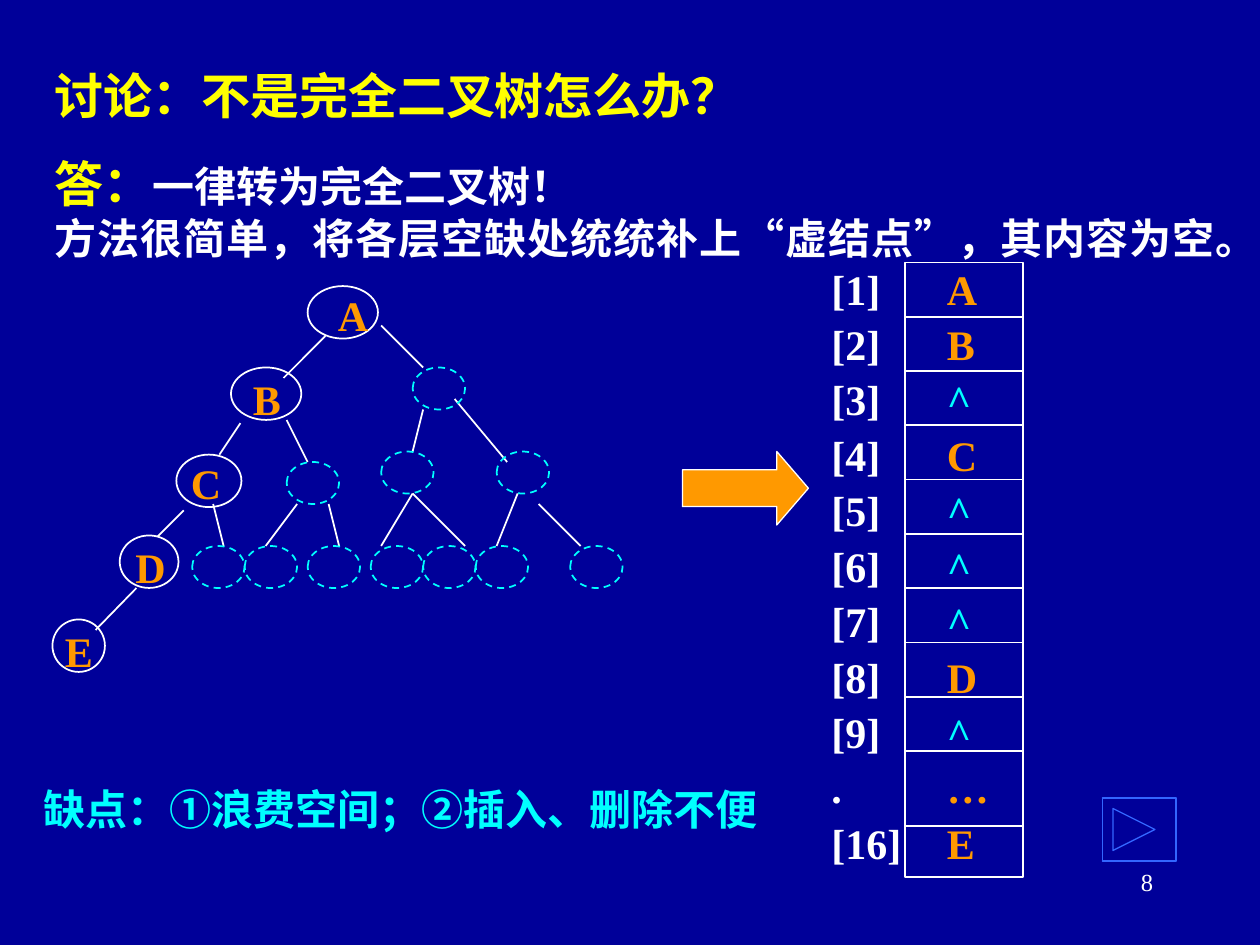
from lxml import etree
from pptx import Presentation
from pptx.dml.color import RGBColor
from pptx.enum.dml import MSO_LINE
from pptx.enum.shapes import MSO_CONNECTOR, MSO_SHAPE
from pptx.enum.text import MSO_ANCHOR, PP_ALIGN
from pptx.oxml.ns import qn
from pptx.util import Inches, Pt

OVAL, RECT, ARROW = MSO_SHAPE.OVAL, MSO_SHAPE.RECTANGLE, MSO_SHAPE.RIGHT_ARROW
STRAIGHT, DASH = MSO_CONNECTOR.STRAIGHT, MSO_LINE.DASH
LEFT, RIGHT, JUSTIFY = PP_ALIGN.LEFT, PP_ALIGN.RIGHT, PP_ALIGN.JUSTIFY
TIMES, NOTO = "Times New Roman", "Noto Sans CJK SC"
WHITE, YELLOW, ORANGE, CYAN, BLUE = "FFFFFF", "FFFF00", "FF9900", "00FFFF", "3366FF"

prs = Presentation()
prs.slide_width, prs.slide_height = Inches(10), Inches(7.5)
U = prs.slide_width // 120  # square grid: 120 columns by 90 rows
slide = prs.slides.add_slide(prs.slide_layouts[5])
slide.background.fill.solid()
slide.background.fill.fore_color.rgb = RGBColor.from_string("000099")
shapes = slide.shapes


def write(sp, box, lines, size=24, bold=True, align=LEFT, spacing=1.0, wrap=True):
    """Place sp on the grid; each line is a list of (text, font, colour[, size])."""
    sp.left, sp.top, sp.width, sp.height = [int(v * U) for v in box]
    tf = sp.text_frame
    tf.word_wrap = wrap
    for i, runs in enumerate(lines):
        p = tf.paragraphs[0] if i == 0 else tf.add_paragraph()
        p.alignment, p.line_spacing = align, spacing
        for text, font, colour, *own_size in runs:
            r = p.add_run()
            r.text = text
            r.font.name, r.font.bold = font, bold
            r.font.size = Pt(own_size[0] if own_size else size)
            r.font.color.rgb = RGBColor.from_string(colour)
            etree.SubElement(r.font._element, qn("a:ea")).set("typeface", NOTO)


def outline(sp, colour=WHITE, width=1, fill=None):
    """Give a shape or connector its line, fill and no shadow."""
    sp.line.color.rgb = RGBColor.from_string(colour)
    sp.line.width = Pt(width)
    if fill:
        sp.fill.solid()
        sp.fill.fore_color.rgb = RGBColor.from_string(fill)
    elif hasattr(sp, "fill"):
        sp.fill.background()
    etree.SubElement(sp._element.spPr, qn("a:effectLst"))


# Title and answer
title = shapes.title
write(title, (4, 5, 87, 8),
      [[("讨论：", TIMES, YELLOW), ("不是完全二叉树怎么办？", NOTO, YELLOW)]], size=28)
title.text_frame.vertical_anchor = MSO_ANCHOR.MIDDLE
write(shapes.add_textbox(0, 0, 0, 0), (4, 14, 113, 11.6),
      [[("答：", NOTO, YELLOW, 28), ("一律转为完全二叉树！", NOTO, WHITE)],
       [("方法很简单，将各层空缺处统统补上“虚结点”，其内容为空。", NOTO, WHITE)]],
      align=JUSTIFY)

# Array: frame, row rules, indices and values
values = "AB^C^^^D^…E"
indices = [f"[{i}]" for i in range(1, 10)] + [".", "[16]"]
frame_x, frame_y, frame_w, row_h = 86.2, 25, 11.2, 5.17
outline(shapes.add_shape(RECT, *[int(v * U) for v in (frame_x, frame_y, frame_w, 58.5)]))
for y in [frame_y + row_h * i for i in range(1, 10)] + [78.7]:
    outline(shapes.add_connector(STRAIGHT, int(frame_x * U), int(y * U),
                                 int((frame_x + frame_w) * U), int(y * U)))
write(shapes.add_textbox(0, 0, 0, 0), (78, 24, 9.1, 59.3),
      [[(t, TIMES, WHITE)] for t in indices], spacing=1.1, wrap=False)
write(shapes.add_textbox(0, 0, 0, 0), (89, 24, 6.5, 59.3),
      [[(t, TIMES, CYAN if t == "^" else ORANGE)] for t in values],
      spacing=1.1, wrap=False)

# Tree edges
edges = [
    (31, 32, 27, 36), (22.9, 40.3, 20.9, 43.3), (17.5, 48.6, 15, 51.1), (13, 56, 9.1, 60),
    (36.3, 31, 40.3, 35), (43.3, 38, 48.3, 44), (40.3, 39, 39.3, 43), (27.3, 40, 29.3, 44),
    (20.3, 48, 21.3, 52), (28.3, 48, 25.3, 52), (31.3, 48, 32.3, 52), (39.3, 47, 36.3, 52),
    (39.3, 47, 44.3, 52), (49.3, 47, 47.3, 52), (51.3, 48, 55.3, 52),
]
for edge in edges:
    outline(shapes.add_connector(STRAIGHT, *[int(v * U) for v in edge]))

# Real nodes: name, oval left, top, width, then label left and top
nodes = [("A", 29.3, 27.25, 6.7, 31, 27), ("B", 22, 35, 6.7, 22.9, 35),
         ("C", 16.8, 43.3, 6.2, 17, 43), ("D", 11.4, 51, 5.6, 11.7, 51),
         ("E", 5, 59, 5, 5, 59)]
for name, x, y, w, label_x, label_y in nodes:
    outline(shapes.add_shape(OVAL, *[int(v * U) for v in (x, y, w, 5)]))
    write(shapes.add_textbox(0, 0, 0, 0), (label_x, label_y, 5.2, 6),
          [[(name, TIMES, ORANGE)]], wrap=False)

# Virtual nodes, level by level
levels = {35: [39.3], 43: [36.3, 47.3], 44: [27.3],
          52: [18.3, 23.3, 29.3, 35.3, 40.3, 45.3, 54.3]}
for y, lefts in levels.items():
    for x in lefts:
        sp = shapes.add_shape(OVAL, int(x * U), y * U, 5 * U, 4 * U)
        outline(sp, CYAN)
        sp.line.dash_style = DASH

# Arrow from tree to array
arrow = shapes.add_shape(ARROW, 65 * U, 43 * U, 12 * U, 7 * U)
arrow.adjustments[0], arrow.adjustments[1] = 0.5, 0.43
outline(arrow, WHITE, 0.75, ORANGE)

# Drawback
write(shapes.add_textbox(0, 0, 0, 0), (3, 74, 73, 10.8),
      [[("缺点：①浪费空间；②插入、删除不便", NOTO, CYAN)]])

# Bevelled forward button: four sides and a triangle
outer = [(105, 76), (112, 76), (112, 82), (105, 82)]
inner = [(105.4, 76.4), (111.6, 76.4), (111.6, 81.6), (105.4, 81.6)]
sides = [[outer[i], outer[(i + 1) % 4], inner[(i + 1) % 4], inner[i]] for i in range(4)]
builder = shapes.build_freeform(*outer[0], scale=U)
for i, points in enumerate(sides + [[(106.5, 77), (110.4, 79), (106.5, 81)]]):
    if i:
        builder.move_to(*points[0])
    builder.add_line_segments(points[1:], close=True)
outline(builder.convert_to_shape(), BLUE, 0.75)

# Page number
write(shapes.add_textbox(0, 0, 0, 0), (86, 82, 25, 6),
      [[("8", TIMES, WHITE)]], size=14, bold=False, align=RIGHT)

prs.save("out.pptx")
